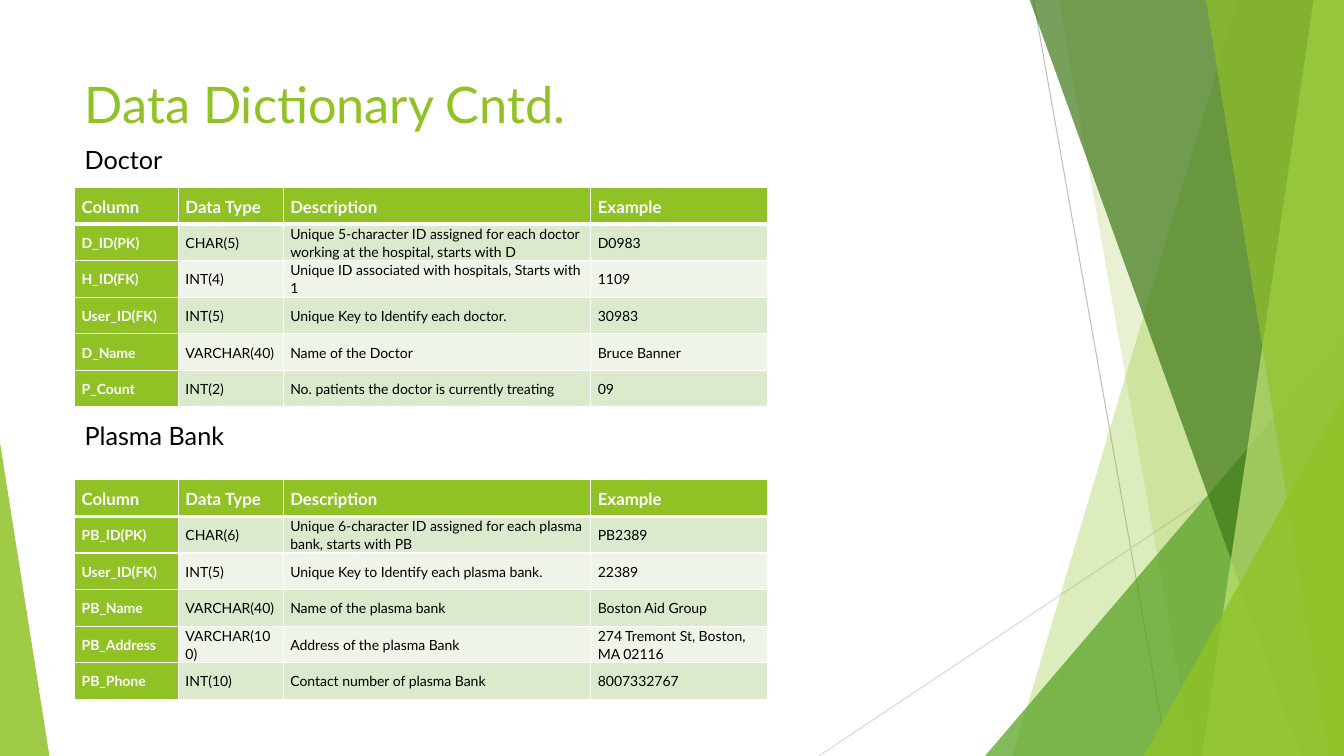
import pptx
import pptx.dml.color
import pptx.enum.shapes
import pptx.enum.text
import pptx.oxml
import pptx.oxml.ns
import pptx.util
from pptx.util import Inches

# Content
TITLE = "Data Dictionary Cntd."
HEADER = ("Column", "Data Type", "Description", "Example")
SECTIONS = [
    {"name": "Doctor", "label_top": 1.38, "table_top": 1.86, "rows": [
        ("D_ID(PK)", "CHAR(5)", "Unique 5-character ID assigned for each doctor "
         "working at the hospital, starts with D", "D0983"),
        ("H_ID(FK)", "INT(4)", "Unique ID associated with hospitals, Starts with 1", "1109"),
        ("User_ID(FK)", "INT(5)", "Unique Key to Identify each doctor.", "30983"),
        ("D_Name", "VARCHAR(40)", "Name of the Doctor", "Bruce Banner"),
        ("P_Count", "INT(2)", "No. patients the doctor is currently treating", "09"),
    ]},
    {"name": "Plasma Bank", "label_top": 4.12, "table_top": 4.76, "rows": [
        ("PB_ID(PK)", "CHAR(6)", "Unique 6-character ID assigned for each plasma "
         "bank, starts with PB", "PB2389"),
        ("User_ID(FK)", "INT(5)", "Unique Key to Identify each plasma bank.", "22389"),
        ("PB_Name", "VARCHAR(40)", "Name of the plasma bank", "Boston Aid Group"),
        ("PB_Address", "VARCHAR(100)", "Address of the plasma Bank",
         "274 Tremont St, Boston, MA 02116"),
        ("PB_Phone", "INT(10)", "Contact number of plasma Bank", "8007332767"),
    ]},
]

# Look
FONT = "Lato"
GREEN, WHITE, BLACK = "90C226", "FFFFFF", "000000"
BANDS = ("DBE9CD", "EEF4E8")
WIDTH, HEIGHT, LEFT = 13.33, 7.5, 0.74
COLUMN_WIDTHS = (1.03, 1.04, 3.05, 1.75)
ROW_HEIGHT = 2.18 / 6
LINES = [((10.25, 0), (11.58, HEIGHT), "BFBFBF"),
         ((WIDTH, 4.03), (8.12, HEIGHT), "D9D9D9")]
# Facets, back to front: a band runs from its top x to its bottom x and fills
# to the right edge; a triangle has left, top, width, apex position.
FACETS = [
    ("band", (12.28, 10.04), GREEN, 30),
    ("band", (10.5, 11.83), GREEN, 20),
    ("triangle", (9.77, 3.33, 3.56, 1), "54A021", 72),
    ("band", (10.21, 12.91), "3F7819", 70),
    ("band", (13.03, 11.92), "C0E474", 70),
    ("band", (11.96, 13.18), GREEN, 65),
    ("triangle", (11.34, 3.93, 1.99, 1), GREEN, 80),
    ("triangle", (0, 4.39, 0.49, 0), GREEN, 85),
]


def color(value):
    return pptx.dml.color.RGBColor.from_string(value)


def fill(target, value):
    target.fill.solid()
    target.fill.fore_color.rgb = color(value)


def write(frame, text, size, ink, bold=False):
    para = frame.paragraphs[0]
    span = para.add_run()
    span.text = text
    settings = {"name": FONT, "size": pptx.util.Pt(size), "bold": bold}
    for key, value in settings.items():
        setattr(span.font, key, value)
    span.font.color.rgb = color(ink)
    return para


def add_line(page, start, end, ink):
    line = page.shapes.add_connector(
        pptx.enum.shapes.MSO_CONNECTOR.STRAIGHT,
        *(Inches(value) for value in start + end))
    line.line.color.rgb = color(ink)
    line.line.width = pptx.util.Pt(0.75)
    properties = line._element.spPr
    properties.append(pptx.oxml.parse_xml(
        f'<a:effectLst {pptx.oxml.ns.nsdecls("a")}/>'))


def add_facet(page, kind, geometry, tint, opacity):
    if kind == "band":
        top_x, bottom_x = geometry
        corners = [(top_x, -0.01), (WIDTH, -0.01), (WIDTH, HEIGHT), (bottom_x, HEIGHT)]
        points = [(Inches(x), Inches(y)) for x, y in corners]
        builder = page.shapes.build_freeform(*points[0])
        builder.add_line_segments(points[1:], close=True)
        facet = builder.convert_to_shape()
    else:
        left, top, width, apex = geometry
        facet = page.shapes.add_shape(
            pptx.enum.shapes.MSO_SHAPE.ISOSCELES_TRIANGLE, Inches(left),
            Inches(top), Inches(width), Inches(HEIGHT - top))
        facet.adjustments[0] = apex
    fill(facet, tint)
    facet.line.fill.background()
    facet.shadow.inherit = False
    tone = facet._element.spPr.find(".//" + pptx.oxml.ns.qn("a:srgbClr"))
    tone.append(pptx.oxml.parse_xml(
        f'<a:alpha {pptx.oxml.ns.nsdecls("a")} val="{opacity * 1000}"/>'))


def set_borders(cell, widths):
    properties = cell._tc.get_or_add_tcPr()
    for index, (side, width) in enumerate(widths.items()):
        properties.insert(index, pptx.oxml.parse_xml(
            f'<a:{side} {pptx.oxml.ns.nsdecls("a")} w="{width * 12700}">'
            f'<a:solidFill><a:srgbClr val="{WHITE}"/></a:solidFill></a:{side}>'))


def add_label(page, text, top):
    box = page.shapes.add_textbox(Inches(LEFT), Inches(top), Inches(2.91), Inches(0.4))
    box.text_frame.word_wrap = True
    box.text_frame.auto_size = pptx.enum.text.MSO_AUTO_SIZE.SHAPE_TO_FIT_TEXT
    write(box.text_frame, text, 18, BLACK)


def add_dictionary(page, rows, top):
    rows = [HEADER] + rows
    table = page.shapes.add_table(
        len(rows), len(HEADER), Inches(LEFT), Inches(top),
        Inches(sum(COLUMN_WIDTHS)), Inches(ROW_HEIGHT * len(rows))).table
    for column, width in zip(table.columns, COLUMN_WIDTHS):
        column.width = Inches(width)
    cell_format = {
        "margin_left": Inches(0.07), "margin_right": Inches(0.07),
        "margin_top": 0, "margin_bottom": 0,
        "vertical_anchor": pptx.enum.text.MSO_ANCHOR.MIDDLE,
    }
    for i, row in enumerate(rows):
        table.rows[i].height = Inches(ROW_HEIGHT)
        for j, text in enumerate(row):
            cell = table.cell(i, j)
            for key, value in cell_format.items():
                setattr(cell, key, value)
            strong = i == 0 or j == 0
            fill(cell, GREEN if strong else BANDS[(i - 1) % 2])
            set_borders(cell, {"lnL": 1, "lnR": 1, "lnT": 3 if i == 1 else 1,
                               "lnB": 3 if i == 0 else 1})
            para = write(cell.text_frame, text, 12 if i == 0 else 10,
                         WHITE if strong else BLACK, strong)
            para.line_spacing = 1.07
            para.space_after = pptx.util.Pt(8)


def main():
    deck = pptx.Presentation()
    deck.slide_width, deck.slide_height = Inches(WIDTH), Inches(HEIGHT)
    page = deck.slides.add_slide(deck.slide_layouts[5])

    # Background facets
    for line in LINES:
        add_line(page, *line)
    for facet in FACETS:
        add_facet(page, *facet)

    # Title
    title = page.shapes.title
    place = {"left": LEFT, "top": 0.67, "width": 9.4, "height": 0.72}
    for key, value in place.items():
        setattr(title, key, Inches(value))
    title.text_frame.vertical_anchor = pptx.enum.text.MSO_ANCHOR.MIDDLE
    para = write(title.text_frame, TITLE, 36, GREEN)
    para.alignment = pptx.enum.text.PP_ALIGN.LEFT

    # Labelled tables
    for section in SECTIONS:
        add_label(page, section["name"], section["label_top"])
        add_dictionary(page, section["rows"], section["table_top"])

    deck.save("out.pptx")


if __name__ == "__main__":
    main()
